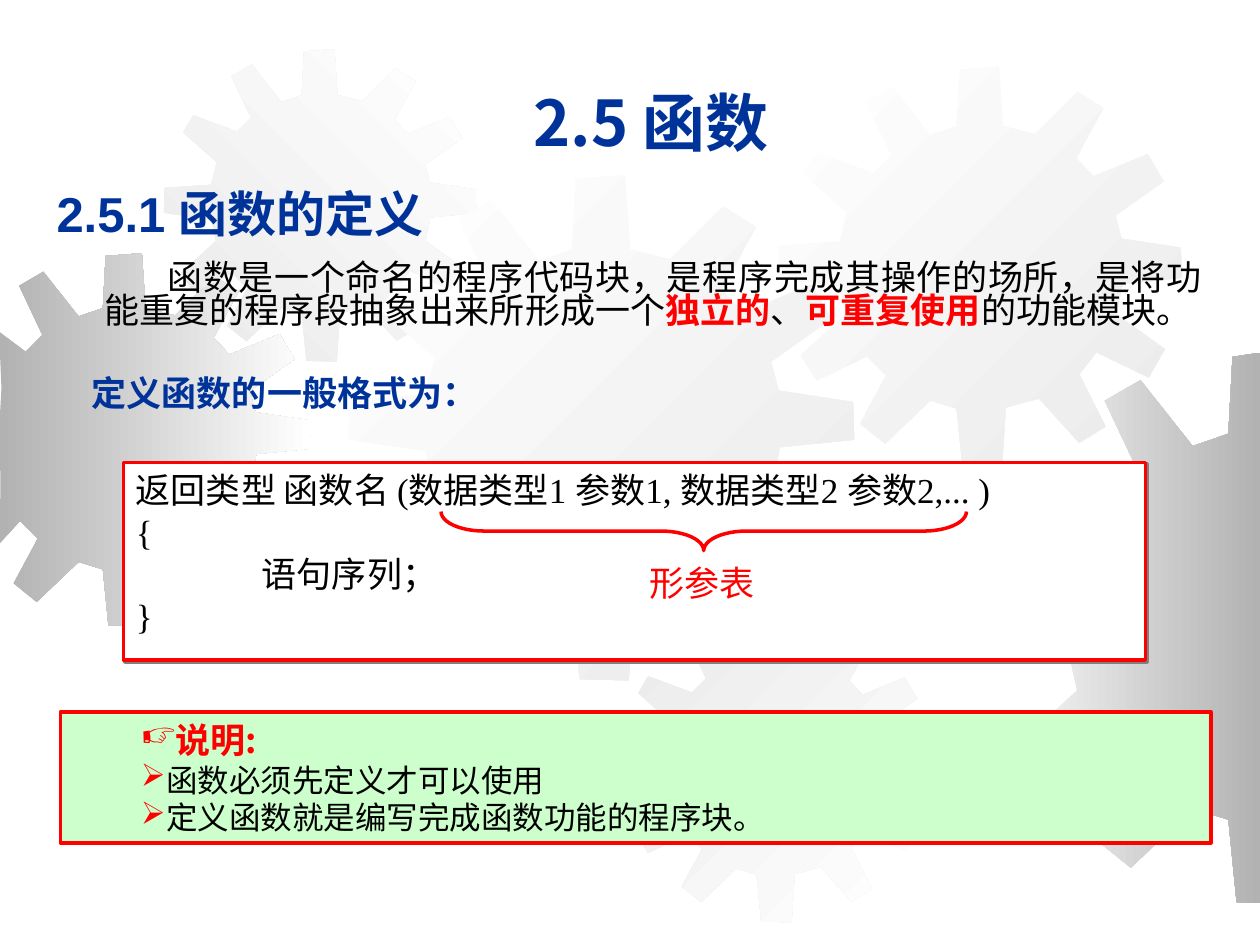
import dataclasses

import lxml.etree
import pptx
import pptx.dml.color
import pptx.enum.shapes
import pptx.enum.text
import pptx.oxml.ns
import pptx.util

Pt = pptx.util.Pt
Shape = pptx.enum.shapes.MSO_SHAPE
Align = pptx.enum.text.PP_ALIGN
Anchor = pptx.enum.text.MSO_ANCHOR
qn = pptx.oxml.ns.qn

GEAR_SIZE = 401
GEAR_OUTLINE = [
    (255, 67), (223, 59), (219, 0), (180, 3), (177, 59), (151, 68), (113, 20), (87, 35),
    (112, 88), (94, 106), (38, 85), (25, 107), (68, 145), (61, 174), (1, 178), (0, 210),
    (61, 219), (67, 246), (22, 287), (38, 312), (88, 288), (107, 307), (81, 355), (106, 375),
    (151, 332), (177, 340), (183, 400), (222, 401), (226, 339), (259, 330), (299, 374), (325, 358),
    (299, 306), (316, 284), (368, 309), (384, 281), (336, 246), (342, 216), (401, 210), (400, 180),
    (341, 171), (335, 148), (383, 114), (367, 87), (313, 109), (296, 91), (323, 41), (297, 25),
]


@dataclasses.dataclass(frozen=True)
class Theme:
    white: str = "FFFFFF"
    mist: str = "EAEAEA"
    steel: str = "B2B2B2"
    shade: str = "808080"
    black: str = "000000"
    navy: str = "003399"
    red: str = "FF0000"
    mint: str = "CCFFCC"
    sans: str = "Arial"
    serif: str = "Times New Roman"
    chinese: str = "Noto Sans CJK SC"
    title: int = 36
    heading: int = 28
    body: int = 20
    note: int = 18
    outline: int = 2


def rgb(color):
    return pptx.dml.color.RGBColor.from_string(color)


class Page:
    columns = 100
    rows = 75

    def __init__(self, deck, theme):
        self.deck = deck
        self.theme = theme
        self.shapes = deck.slides.add_slide(deck.slide_layouts[6]).shapes

    def across(self, columns):
        return round(self.deck.slide_width * columns / self.columns)

    def down(self, rows):
        return round(self.deck.slide_height * rows / self.rows)

    def place(self, left, top, width, height):
        return self.across(left), self.down(top), self.across(width), self.down(height)

    def gear(self, left, top, size, start, end, angle):
        scale = size / GEAR_SIZE
        points = [
            (self.across(min(max(left + x * scale, 0), self.columns)), self.down(top + y * scale))
            for x, y in GEAR_OUTLINE
        ]
        builder = self.shapes.build_freeform(*points[0])
        builder.add_line_segments(points[1:], close=True)
        gear = builder.convert_to_shape()
        gear.shadow.inherit = False
        gear.line.fill.background()
        gear.fill.gradient()
        gear.fill.gradient_angle = -angle % 360
        for stop, color in zip(gear.fill.gradient_stops, (start, end)):
            stop.color.rgb = rgb(color)

    def frame(self, box, anchor=Anchor.TOP, insets=(1, 0.5)):
        frame = box.text_frame
        frame.word_wrap = True
        frame.vertical_anchor = anchor
        frame.margin_left = frame.margin_right = self.across(insets[0])
        frame.margin_top = frame.margin_bottom = self.down(insets[1])
        return frame

    def text_box(self, *area, anchor=Anchor.TOP):
        return self.frame(self.shapes.add_textbox(*self.place(*area)), anchor)

    def panel(self, *area, fill, line=None, anchor=Anchor.TOP, insets=(1, 0.5), shadow=False):
        panel = self.shapes.add_shape(Shape.RECTANGLE, *self.place(*area))
        panel.shadow.inherit = False
        panel.fill.solid()
        panel.fill.fore_color.rgb = rgb(fill)
        self.stroke(panel, line)
        if shadow:
            effects = panel._element.spPr.find(qn("a:effectLst"))
            outer = lxml.etree.SubElement(
                effects, qn("a:outerShdw"), dist=str(Pt(1.4)), dir="2700000", algn="ctr")
            lxml.etree.SubElement(outer, qn("a:srgbClr"), val=self.theme.shade)
        return self.frame(panel, anchor, insets)

    def stroke(self, shape, color):
        if color is None:
            shape.line.fill.background()
        else:
            shape.line.color.rgb = rgb(color)
            shape.line.width = Pt(self.theme.outline)

    def brace(self, left, top, width, height, color):
        middle, center = left + width / 2, top + height / 2
        brace = self.shapes.add_shape(
            Shape.RIGHT_BRACE, *self.place(middle - height / 2, center - width / 2, height, width))
        brace.rotation = 90
        brace.adjustments[0] = 1.1
        brace.shadow.inherit = False
        brace.fill.background()
        self.stroke(brace, color)

    def paragraph(self, frame, text, size, color, font, bold=False, align=Align.LEFT,
                  margin=0, indent=0, spacing=None, before=0, bullet=None):
        para = frame.paragraphs[0]
        if para.runs:
            para = frame.add_paragraph()
        properties = para._p.get_or_add_pPr()
        properties.set("marL", str(self.across(margin)))
        properties.set("indent", str(self.across(indent)))
        para.alignment = align
        if spacing:
            para.line_spacing = spacing
        if before:
            para.space_before = Pt(before)
        if bullet:
            tint = lxml.etree.SubElement(properties, qn("a:buClr"))
            lxml.etree.SubElement(tint, qn("a:srgbClr"), val=self.theme.red)
            lxml.etree.SubElement(properties, qn("a:buChar"), char=bullet)
        spans = [(text, False)] if isinstance(text, str) else text
        for words, strong in spans:
            span = para.add_run()
            span.text = words
            span.font.size = Pt(size)
            span.font.name = font
            span.font.bold = bold or strong
            span.font.color.rgb = rgb(self.theme.red if strong else color)
            lxml.etree.SubElement(
                span._r.get_or_add_rPr(), qn("a:ea"), typeface=self.theme.chinese)


def main():
    deck = pptx.Presentation()
    deck.slide_width = pptx.util.Inches(10)
    deck.slide_height = pptx.util.Inches(7.5)
    theme = Theme()
    page = Page(deck, theme)

    for gear in [
        (-4.9, 20.1, 29.6, theme.steel, theme.white, 0),
        (13, 3.9, 24.8, theme.mist, theme.white, 315),
        (27.7, 13.9, 40.1, theme.white, theme.mist, 45),
        (49.1, 48.4, 24.8, theme.mist, theme.white, 45),
        (61.8, 5.3, 32, theme.white, theme.mist, 45),
        (78.2, 28, 43.7, theme.white, theme.steel, 0),
    ]:
        page.gear(*gear)

    title = page.text_box(6.7, 6, 90, 7.3, anchor=Anchor.MIDDLE)
    page.paragraph(title, "2.5 函数", theme.title, theme.navy, theme.chinese,
                   bold=True, align=Align.CENTER)

    body = page.text_box(3.5, 15, 92.9, 51.7)
    page.paragraph(body, "2.5.1 函数的定义", theme.heading, theme.navy, theme.sans, bold=True,
                   align=Align.JUSTIFY, spacing=0.8)
    definition = [
        ("函数是一个命名的程序代码块，是程序完成其操作的场所，是将功能重复的程序段抽象出来所形成一个", False),
        ("独立的", True),
        ("、", False),
        ("可重复使用", True),
        ("的功能模块。", False),
    ]
    page.paragraph(body, definition, theme.body, theme.black, theme.sans,
                   align=Align.JUSTIFY, margin=3.8, indent=5, spacing=0.8, before=12)
    page.paragraph(body, "定义函数的一般格式为：", theme.body, theme.navy, theme.sans, bold=True,
                   margin=2.8, spacing=0.8, before=28)

    syntax = page.panel(9.8, 36.7, 81.1, 15.7, fill=theme.white, line=theme.red, shadow=True)
    for line, margin in [
        ("返回类型 函数名 (数据类型1 参数1, 数据类型2 参数2,... )", 0),
        ("{", 0),
        ("语句序列；", 10),
        ("}", 0),
    ]:
        page.paragraph(syntax, line, theme.body, theme.black, theme.serif,
                       align=Align.JUSTIFY, margin=margin)

    page.brace(35, 40.6, 41.7, 3.1, theme.red)
    label = page.panel(48.6, 44.6, 14.2, 3.2, fill=theme.white, insets=(0.2, 0))
    page.paragraph(label, "形参表", theme.body, theme.red, theme.serif, align=Align.CENTER)

    notes = page.panel(4.8, 56.5, 91.3, 10.4, fill=theme.mint, line=theme.red,
                       anchor=Anchor.MIDDLE)
    page.paragraph(notes, "说明:", theme.body, theme.red, theme.chinese, bold=True,
                   margin=7.8, indent=-2.4, bullet="☞")
    for note in ("函数必须先定义才可以使用", "定义函数就是编写完成函数功能的程序块。"):
        page.paragraph(notes, note, theme.note, theme.black, theme.chinese,
                       margin=7.4, indent=-2, bullet="➢")

    deck.save("out.pptx")


if __name__ == "__main__":
    main()
